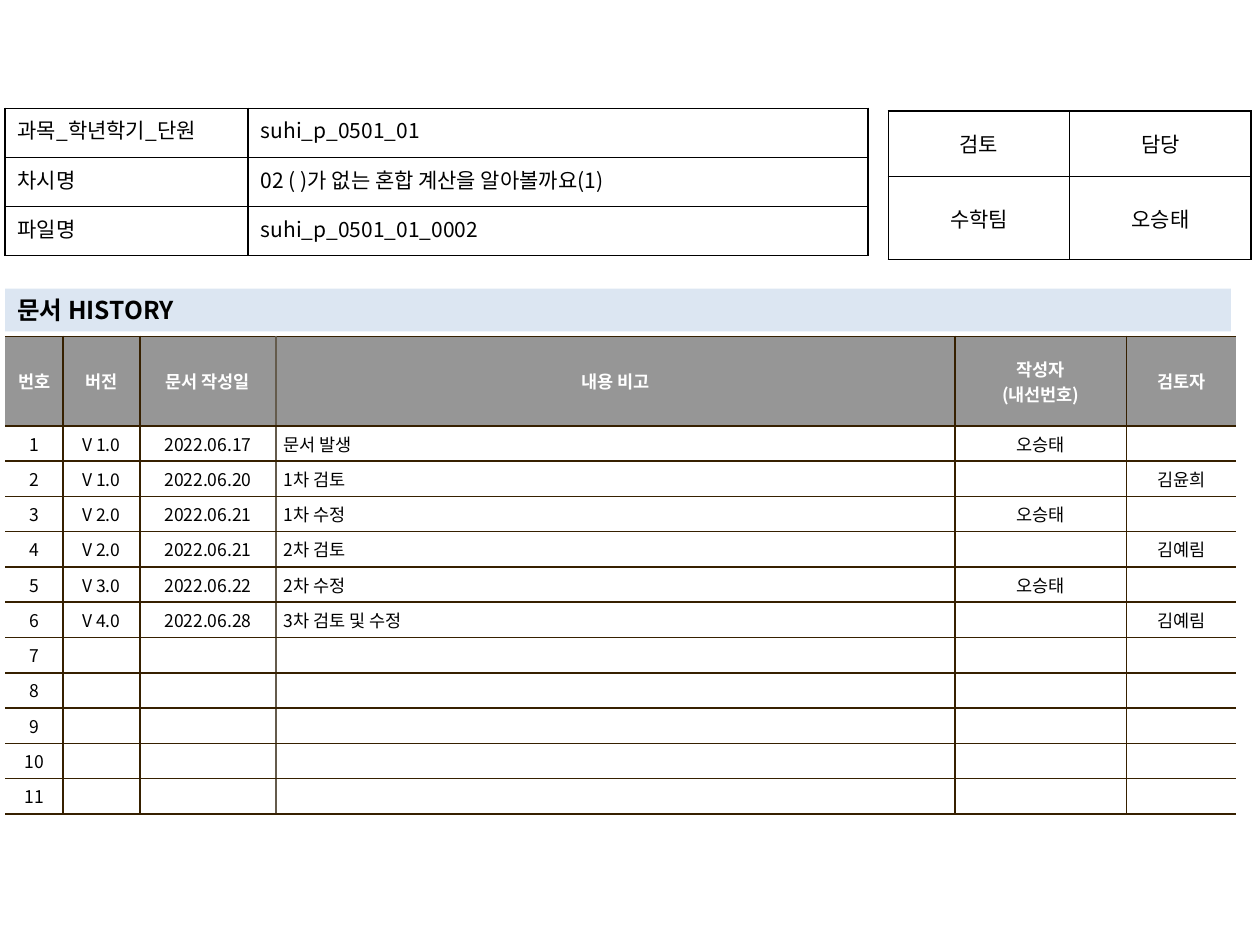
from dataclasses import dataclass

from lxml import etree
from pptx import Presentation
from pptx.dml.color import RGBColor
from pptx.enum.shapes import MSO_SHAPE
from pptx.enum.text import MSO_ANCHOR, MSO_AUTO_SIZE, PP_ALIGN
from pptx.oxml.ns import qn
from pptx.util import Inches, Pt

RECTANGLE = MSO_SHAPE.RECTANGLE
TOP, MIDDLE = MSO_ANCHOR.TOP, MSO_ANCHOR.MIDDLE
LEFT, CENTER, JUSTIFY = PP_ALIGN.LEFT, PP_ALIGN.CENTER, PP_ALIGN.JUSTIFY
FIT_SHAPE = MSO_AUTO_SIZE.SHAPE_TO_FIT_TEXT


@dataclass(frozen=True)
class Theme:
    """Colours, font and type sizes of the slide."""
    font: str = "Noto Sans CJK KR"
    ink: str = "000000"
    paper: str = "FFFFFF"
    header: str = "969696"
    band: str = "DCE6F2"
    rule: str = "362000"
    soft_rule: str = "645B4C"
    title_size: int = 14
    info_size: int = 12
    history_size: int = 10
    rule_width: int = 1


THEME = Theme()

LESSON_INFO = [
    ("과목_학년학기_단원", "suhi_p_0501_01"),
    ("차시명", "02 ( )가 없는 혼합 계산을 알아볼까요(1)"),
    ("파일명", "suhi_p_0501_01_0002"),
]
APPROVAL = [("검토", "담당"), ("수학팀", "오승태")]
HISTORY_HEADER = ("번호", "버전", "문서 작성일", "내용 비고", "작성자\n(내선번호)", "검토자")
REVISIONS = [
    ("V 1.0", "2022.06.17", "문서 발생", "오승태", ""),
    ("V 1.0", "2022.06.20", "1차 검토", "", "김윤희"),
    ("V 2.0", "2022.06.21", "1차 수정", "오승태", ""),
    ("V 2.0", "2022.06.21", "2차 검토", "", "김예림"),
    ("V 3.0", "2022.06.22", "2차 수정", "오승태", ""),
    ("V 4.0", "2022.06.28", "3차 검토 및 수정", "", "김예림"),
]
HISTORY_ROWS = 11
NOTE_COLUMN, REVIEWER_COLUMN = 3, 5


def add_text(paragraph, text, size, color=THEME.ink, bold=False, align=LEFT, hanging=0):
    """Write one styled run, or keep the type size of an empty paragraph."""
    paragraph.alignment = align
    if not text:
        etree.SubElement(paragraph._p, qn("a:endParaRPr"), sz=str(size * 100))
        return
    if hanging:
        properties = paragraph._p.get_or_add_pPr()
        properties.set("marL", str(Inches(hanging)))
        properties.set("indent", str(-Inches(hanging)))
    run = paragraph.add_run()
    run.text = text
    font = run.font
    font.name, font.size, font.bold = THEME.font, Pt(size), bold
    font.color.rgb = RGBColor.from_string(color)
    etree.SubElement(run._r.get_or_add_rPr(), qn("a:ea"), typeface=THEME.font)


def set_borders(cell, left, right, top, bottom):
    """Draw the four cell borders; None leaves a side open."""
    properties = cell._tc.get_or_add_tcPr()
    for side, color in zip("LRTB", (left, right, top, bottom)):
        line = etree.SubElement(properties, qn(f"a:ln{side}"), w=str(Pt(THEME.rule_width)))
        if color is None:
            etree.SubElement(line, qn("a:noFill"))
        else:
            solid = etree.SubElement(line, qn("a:solidFill"))
            etree.SubElement(solid, qn("a:srgbClr"), val=color)


def fill_cell(cell, text, borders, inset, anchor, fill=None, **style):
    """Set a cell's borders, fill, margins and text."""
    set_borders(cell, *borders)
    if fill:
        cell.fill.solid()
        cell.fill.fore_color.rgb = RGBColor.from_string(fill)
    else:
        cell.fill.background()
    across, down = inset
    cell.margin_left = cell.margin_right = Inches(across)
    cell.margin_top = cell.margin_bottom = Inches(down)
    cell.vertical_anchor = anchor
    for number, line in enumerate(text.split("\n")):
        frame = cell.text_frame
        paragraph = frame.add_paragraph() if number else frame.paragraphs[0]
        add_text(paragraph, line, **style)


def add_grid(slide, left, top, widths, heights):
    """Add a plain table with the given column widths and row heights."""
    table = slide.shapes.add_table(
        len(heights), len(widths), Inches(left), Inches(top),
        Inches(sum(widths)), Inches(sum(heights))).table
    table.first_row = table.horz_banding = False
    for column, width in zip(table.columns, widths):
        column.width = Inches(width)
    for row, height in zip(table.rows, heights):
        row.height = Inches(height)
    return table


def add_info_table(slide, left, top, widths, heights, entries, aligns, anchor):
    """Add a black-ruled table of document facts."""
    table = add_grid(slide, left, top, widths, heights)
    for r, entry in enumerate(entries):
        for c, text in enumerate(entry):
            fill_cell(table.cell(r, c), text, [THEME.ink] * 4, (0.1, 0.05), anchor,
                      size=THEME.info_size, align=aligns[c])


def add_history_table(slide):
    """Add the revision history, open at its left and right edges."""
    widths = [0.46, 0.61, 1.08, 5.39, 1.36, 0.87]
    table = add_grid(slide, 0.04, 2.67, widths, [0.71] + [0.25] * HISTORY_ROWS)
    edges = [None, THEME.rule, THEME.rule, THEME.soft_rule, THEME.rule, THEME.rule, None]
    blanks = [("",) * 5] * (HISTORY_ROWS - len(REVISIONS))
    numbered = [(str(n), *row) for n, row in enumerate(REVISIONS + blanks, 1)]
    hangings = {NOTE_COLUMN: 0.19, REVIEWER_COLUMN: 0.09}
    for r, row in enumerate([HISTORY_HEADER] + numbered):
        header = r == 0
        for c, text in enumerate(row):
            fill_cell(
                table.cell(r, c), text, (edges[c], edges[c + 1], THEME.rule, THEME.rule),
                (0.06, 0.04), MIDDLE,
                fill=THEME.header if header else THEME.paper,
                size=THEME.history_size,
                color=THEME.paper if header else THEME.ink,
                bold=header,
                align=LEFT if c == NOTE_COLUMN and not header else CENTER,
                hanging=0 if header else hangings.get(c, 0))


def add_section_band(slide, text):
    """Add the tinted heading band above the history."""
    band = slide.shapes.add_shape(
        RECTANGLE, Inches(0.04), Inches(2.29), Inches(9.73), Inches(0.34))
    band.shadow.inherit = False
    band.fill.solid()
    band.fill.fore_color.rgb = RGBColor.from_string(THEME.band)
    band.line.fill.background()
    frame = band.text_frame
    frame.word_wrap = True
    frame.auto_size = FIT_SHAPE
    frame.vertical_anchor = TOP
    add_text(frame.paragraphs[0], text, THEME.title_size, bold=True)


def main():
    """Build the document history slide."""
    deck = Presentation()
    deck.slide_width, deck.slide_height = Inches(10), Inches(7.5)
    slide = deck.slides.add_slide(deck.slide_layouts[6])
    add_history_table(slide)
    add_info_table(slide, 7.05, 0.88, [1.44] * 2, [0.52, 0.66], APPROVAL,
                   (CENTER, CENTER), MIDDLE)
    add_section_band(slide, "문서 HISTORY")
    add_info_table(slide, 0.04, 0.86, [1.93, 4.92], [0.39] * 3, LESSON_INFO,
                   (JUSTIFY, LEFT), TOP)
    deck.save("out.pptx")


if __name__ == "__main__":
    main()
